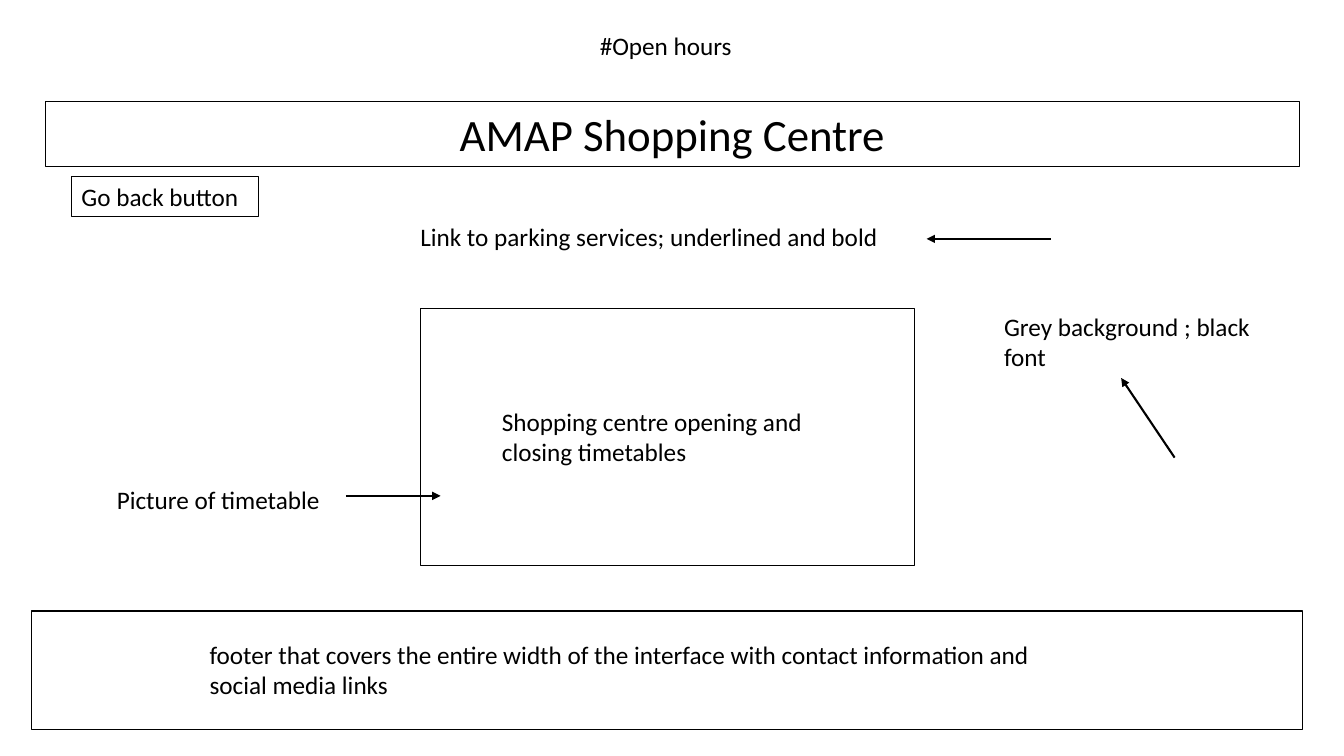
from dataclasses import dataclass
from typing import Optional

from lxml.etree import SubElement
from pptx import Presentation
from pptx.dml.color import RGBColor
from pptx.enum.shapes import MSO_CONNECTOR as Link, MSO_SHAPE as Shape
from pptx.enum.text import MSO_ANCHOR as Anchor, PP_ALIGN as Align
from pptx.oxml.ns import qn
from pptx.util import Emu, Pt

SCALE = 9144  # EMU per px, 100 px to the inch


@dataclass(frozen=True)
class Theme:
    ink: RGBColor = RGBColor(0, 0, 0)
    paper: RGBColor = RGBColor(255, 255, 255)
    font: str = "Calibri"
    body: int = 18
    title: int = 32
    thin: float = 0.75
    edge: float = 1
    arrow: float = 1.5


THEME = Theme()


@dataclass(frozen=True)
class Box:
    """A label, a frame, or a frame with a label in it."""
    left: int
    top: int
    width: int
    height: int
    text: str = ""
    line: Optional[float] = None
    size: int = THEME.body
    align: Align = Align.LEFT
    wrap: bool = True


@dataclass(frozen=True)
class Arrow:
    x1: int
    y1: int
    x2: int
    y2: int


BOXES = [
    Box(585, 25, 152, 40, "#Open hours", wrap=False),
    Box(488, 398, 374, 71, "Shopping centre opening and closing timetables"),
    Box(417, 306, 490, 255, line=THEME.edge),
    Box(31, 606, 1261, 118, line=THEME.edge),
    Box(198, 629, 843, 71, "footer that covers the entire width of the interface "
        "with contact information and social media links"),
    Box(45, 101, 1244, 64, "AMAP Shopping Centre", line=THEME.thin,
        size=THEME.title, align=Align.CENTER),
    Box(407, 215, 579, 40, "Link to parking services; underlined and bold"),
    Box(986, 304, 275, 71, "Grey background ; black font"),
    Box(106, 476, 258, 40, "Picture of timetable"),
    Box(71, 175, 185, 40, "Go back button", line=THEME.thin),
]

ARROWS = [
    Arrow(1165, 454, 1112, 375),
    Arrow(1042, 237, 919, 237),
    Arrow(343, 492, 437, 492),
]


def px(*sizes: int) -> list[Emu]:
    return [Emu(size * SCALE) for size in sizes]


def write(shape, text: str, *, size: int, align: Align, wrap: bool) -> None:
    frame = shape.text_frame
    frame.word_wrap = wrap
    frame.vertical_anchor = Anchor.TOP
    para = frame.paragraphs[0]
    para.alignment = align
    run = para.add_run()
    run.text = text
    run.font.name = THEME.font
    run.font.size = Pt(size)
    run.font.color.rgb = THEME.ink


def draw_box(slide, box: Box) -> None:
    place = px(box.left, box.top, box.width, box.height)
    if box.line is None:
        shape = slide.shapes.add_textbox(*place)
    else:
        shape = slide.shapes.add_shape(Shape.RECTANGLE, *place)
        shape.shadow.inherit = False
        shape.fill.background()
        shape.line.color.rgb = THEME.ink
        shape.line.width = Pt(box.line)
    if box.text:
        write(shape, box.text, size=box.size, align=box.align, wrap=box.wrap)


def draw_arrow(slide, arrow: Arrow) -> None:
    ends = px(arrow.x1, arrow.y1, arrow.x2, arrow.y2)
    link = slide.shapes.add_connector(Link.STRAIGHT, *ends)
    link.line.color.rgb = THEME.ink
    link.line.width = Pt(THEME.arrow)
    SubElement(link.line._get_or_add_ln(), qn("a:tailEnd"), type="triangle")
    SubElement(link._element.spPr, qn("a:effectLst"))


def main() -> None:
    deck = Presentation()
    deck.slide_width, deck.slide_height = px(1333, 750)
    slide = deck.slides.add_slide(deck.slide_layouts[6])
    fill = slide.background.fill
    fill.solid()
    fill.fore_color.rgb = THEME.paper
    for box in BOXES:
        draw_box(slide, box)
    for arrow in ARROWS:
        draw_arrow(slide, arrow)
    deck.save("out.pptx")


if __name__ == "__main__":
    main()
